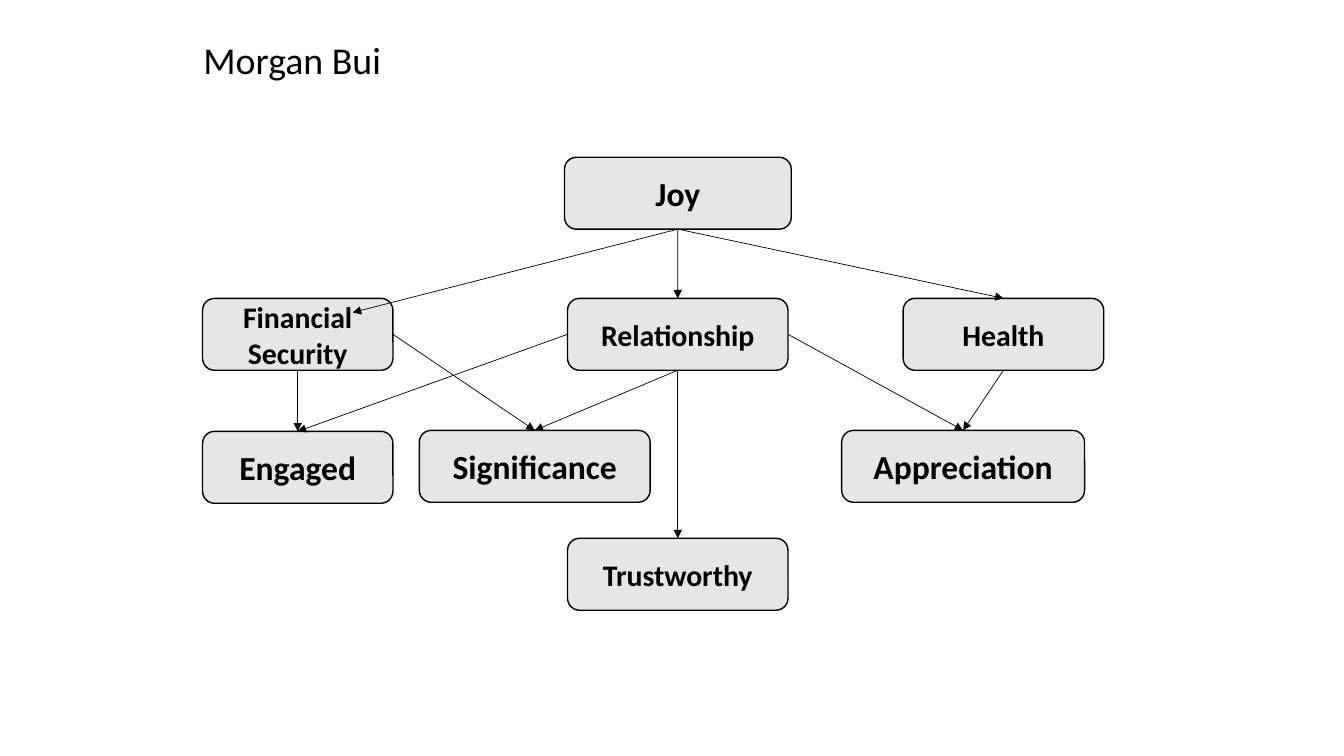
from lxml.etree import SubElement
from pptx import Presentation
from pptx.dml.color import RGBColor
from pptx.enum.shapes import MSO_CONNECTOR, MSO_SHAPE
from pptx.enum.text import MSO_ANCHOR, PP_ALIGN
from pptx.oxml.ns import qn
from pptx.util import Pt

BLACK = RGBColor(0x00, 0x00, 0x00)
LIGHT_GRAY = RGBColor(0xE7, 0xE6, 0xE6)
FONT_NAME = "Calibri"
BOX_HEIGHT = 51.4
LARGE, SMALL = 24, 21.3
TOP, LEFT, BOTTOM, RIGHT = range(4)

VALUES = [
    ("Joy", 258.5, 0, 162, LARGE),
    ("Financial Security", 0, 100.8, 136, SMALL),
    ("Relationship", 260.7, 100.8, 157.5, SMALL),
    ("Health", 500.4, 100.8, 143.3, SMALL),
    ("Engaged", 0, 195.8, 136, LARGE),
    ("Significance", 154.8, 195.1, 164.9, LARGE),
    ("Appreciation", 456.5, 195.1, 173.5, LARGE),
    ("Trustworthy", 260.7, 272.2, 157.5, SMALL),
]
LINKS = [
    ("Joy", BOTTOM, "Relationship"),
    ("Joy", BOTTOM, "Health"),
    ("Financial Security", BOTTOM, "Engaged"),
    ("Financial Security", RIGHT, "Significance"),
    ("Relationship", LEFT, "Engaged"),
    ("Relationship", BOTTOM, "Significance"),
    ("Relationship", BOTTOM, "Trustworthy"),
    ("Relationship", RIGHT, "Appreciation"),
    ("Health", BOTTOM, "Appreciation"),
]
FINANCIAL_ARROW_TIP = (107.3, 110.9)


def write_text(shape, text, size, alignment, bold=False):
    text_frame = shape.text_frame
    text_frame.text = text
    text_frame.word_wrap = True
    text_frame.vertical_anchor = MSO_ANCHOR.MIDDLE
    paragraph = text_frame.paragraphs[0]
    paragraph.alignment = alignment
    font = paragraph.runs[0].font
    font.name = FONT_NAME
    font.size = Pt(size)
    font.bold = bold
    font.color.rgb = BLACK


def add_title(slide, left, top, width, height):
    title = slide.shapes.add_textbox(Pt(left), Pt(top), Pt(width), Pt(height))
    write_text(title, "Morgan Bui", 27, PP_ALIGN.LEFT)


def add_value_box(slide, left, top, width, text, size):
    shape = slide.shapes.add_shape(
        MSO_SHAPE.ROUNDED_RECTANGLE, Pt(left), Pt(top), Pt(width), Pt(BOX_HEIGHT)
    )
    shape.shadow.inherit = False
    shape.fill.solid()
    shape.fill.fore_color.rgb = LIGHT_GRAY
    shape.line.color.rgb = BLACK
    shape.line.width = Pt(1)
    write_text(shape, text, size, PP_ALIGN.CENTER, bold=True)
    return shape


def add_arrow(slide, source, source_side, tip_left=0, tip_top=0, target=None):
    connector = slide.shapes.add_connector(
        MSO_CONNECTOR.STRAIGHT, 0, 0, Pt(tip_left), Pt(tip_top)
    )
    connector.begin_connect(source, source_side)
    if target is not None:
        connector.end_connect(target, TOP)
    connector.line.color.rgb = BLACK
    connector.line.width = Pt(0.5)
    SubElement(connector.line._get_or_add_ln(), qn("a:tailEnd"), type="triangle")
    SubElement(connector._element.spPr, qn("a:effectLst"))


def add_value_map(slide, left, top):
    boxes = {
        text: add_value_box(slide, left + offset_left, top + offset_top, width, text, size)
        for text, offset_left, offset_top, width, size in VALUES
    }
    for source, side, target in LINKS:
        add_arrow(slide, boxes[source], side, target=boxes[target])
    tip_left, tip_top = FINANCIAL_ARROW_TIP
    add_arrow(slide, boxes["Joy"], BOTTOM, left + tip_left, top + tip_top)


def main():
    presentation = Presentation()
    presentation.slide_width = Pt(960)
    presentation.slide_height = Pt(540)
    slide = presentation.slides.add_slide(presentation.slide_layouts[6])
    add_title(slide, 138.2, 23, 566, 38.2)
    add_value_map(slide, 144.7, 112.3)
    presentation.save("out.pptx")


if __name__ == "__main__":
    main()
